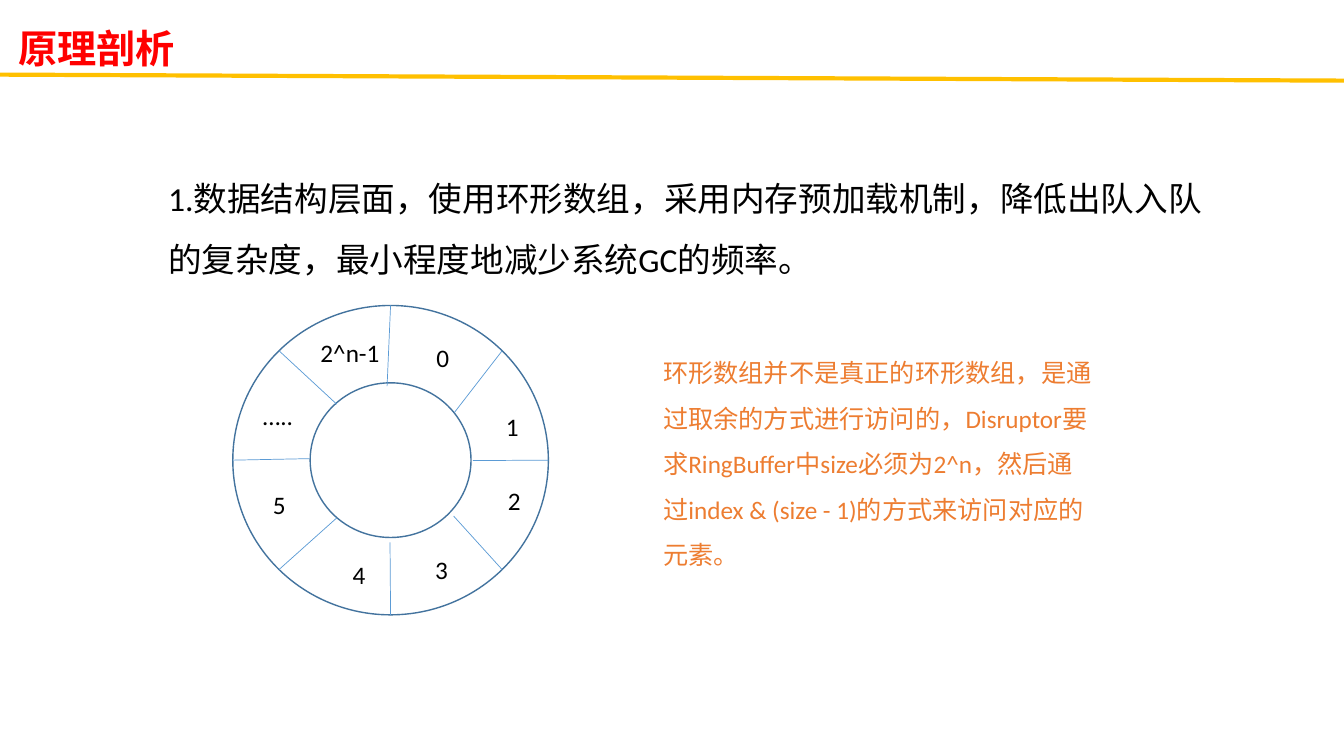
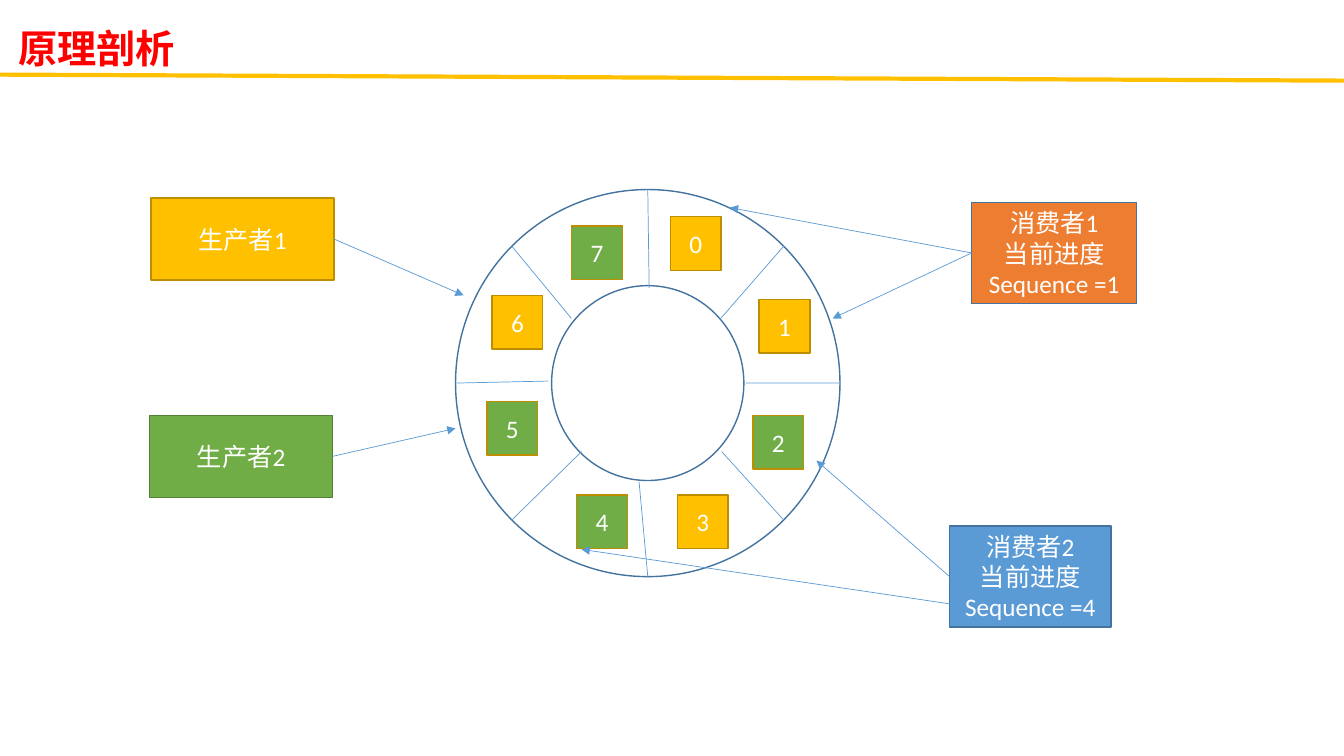
from math import cos, radians, sin

from lxml import etree
from pptx import Presentation
from pptx.dml.color import RGBColor
from pptx.enum.shapes import MSO_CONNECTOR, MSO_SHAPE
from pptx.enum.text import MSO_ANCHOR, MSO_AUTO_SIZE, PP_ALIGN
from pptx.oxml.ns import qn
from pptx.util import Pt

STRAIGHT = MSO_CONNECTOR.STRAIGHT
DONUT, RECT = MSO_SHAPE.DONUT, MSO_SHAPE.RECTANGLE
LEFT, CENTER = PP_ALIGN.LEFT, PP_ALIGN.CENTER
MIDDLE = MSO_ANCHOR.MIDDLE
FIT_SHAPE, NO_FIT = MSO_AUTO_SIZE.SHAPE_TO_FIT_TEXT, MSO_AUTO_SIZE.NONE

BLACK, WHITE, RED = "000000", "FFFFFF", "FF0000"
YELLOW, GREEN, ORANGE, BLUE = "FFC000", "70AD47", "ED7D31", "5B9BD5"
DARK_YELLOW, DARK_GREEN, DARK_BLUE = "BD8E00", "538035", "43739E"
rgb = RGBColor.from_string


def add_line(s, start, end, color=BLUE, width=0.5, arrow=False):
    line = s.shapes.add_connector(STRAIGHT, *map(Pt, start + end))
    line.line.color.rgb = rgb(color)
    line.line.width = Pt(width)
    sp_pr = line.element.spPr
    if arrow:
        etree.SubElement(sp_pr.find(qn("a:ln")), qn("a:tailEnd"), type="triangle")
    etree.SubElement(sp_pr, qn("a:effectLst"))
    return line


def write(tf, text, size, color, align=LEFT, font="Calibri", bold=False, spacing=None):
    """Fill a text frame, one paragraph for each line of text."""
    for i, words in enumerate(text.split("\n")):
        p = tf.add_paragraph() if i else tf.paragraphs[0]
        p.alignment = align
        p.line_spacing = spacing
        r = p.add_run()
        r.text = words
        r.font.name = font
        r.font.size = Pt(size)
        r.font.bold = bold
        r.font.color.rgb = rgb(color)


prs = Presentation()
prs.slide_width, prs.slide_height = Pt(960), Pt(540)
layout = prs.slide_layouts[5]
title = layout.placeholders[0]
title.left, title.top, title.width, title.height = map(Pt, (6, 13.5, 128, 41))

# Ring box, then the inner end of each spoke, clockwise from the right
rings = [
    ((166.3, 218.2, 225.4, 221),
     [(337.7, 329), (324, 368.6), (278.6, 387.4), (240.5, 370),
      (221, 327.6), (240.5, 288.7), (276.5, 275.8), (324.7, 294.5)]),
    ((325.4, 135.4, 274.6, 276.5),
     [(532.8, 273.6), (515.5, 322.6), (456.5, 344.2), (415.4, 322.6),
      (391.7, 272.2), (408.2, 227.5), (463.7, 205.9), (514.8, 227.5)]),
]
for (left, top, width, height), inner_ends in rings:
    s = prs.slides.add_slide(layout)
    tf = s.shapes.title.text_frame
    tf.word_wrap = False
    tf.auto_size = NO_FIT
    write(tf, "原理剖析", 28, RED, font="Times New Roman", bold=True)

    ring = s.shapes.add_shape(DONUT, Pt(left), Pt(top), Pt(width), Pt(height))
    ring.shadow.inherit = False
    ring.fill.background()
    ring.line.color.rgb = rgb(DARK_BLUE)
    ring.line.width = Pt(1)
    for i, inner in enumerate(inner_ends):
        angle = radians(45 * i)
        outer = (left + width / 2 * (1 + cos(angle)),
                 top + height / 2 * (1 + sin(angle)))
        add_line(s, outer, inner)

data_slide, flow_slide = prs.slides

# The rule under the title belongs to the layout
rule = add_line(data_slide, (0, 53.3), (960, 57.6), YELLOW, 3)
layout.shapes.element.append(rule.element)

# Slide 1: ring array
texts = [
    ("1.数据结构层面，使用环形数组，采用内存预加载机制，降低出队入队\n"
     "的复杂度，最小程度地减少系统GC的频率。",
     (113, 109.4, 759.6, 94.3), 24, BLACK, 1.5, False),
    ("环形数组并不是真正的环形数组，是通过取余的方式进行访问的，"
     "Disruptor要求RingBuffer中size必须为2^n，"
     "然后通过index & (size - 1)的方式来访问对应的元素。",
     (466.6, 241.2, 324, 170.6), 18, ORANGE, 1.5, True),
]
slots = [
    ("0", 304.6, 241.2, 24), ("1", 354.2, 290.2, 24),
    ("2", 355.7, 343.4, 24), ("3", 303.8, 392.4, 24),
    ("4", 244.8, 396, 24), ("5", 187.9, 346.3, 24),
    ("…..", 180.7, 282.2, 46), ("2^n-1", 221.8, 237.6, 57),
]
texts += [(text, (x, y, w, 29), 18, BLACK, None, False) for text, x, y, w in slots]
for text, box, size, color, spacing, wrap in texts:
    tf = data_slide.shapes.add_textbox(*map(Pt, box)).text_frame
    tf.word_wrap = wrap
    tf.auto_size = FIT_SHAPE
    write(tf, text, size, color, spacing=spacing)

# Slide 2: producers, consumers and the slots they use
boxes = [
    ("生产者1", (108, 141.5, 130.5, 58.5), YELLOW, DARK_YELLOW),
    ("生产者2", (107, 296.7, 130.5, 58.5), GREEN, DARK_GREEN),
    ("消费者1\n当前进度\nSequence =1", (694, 144.7, 118, 72), ORANGE, DARK_BLUE),
    ("消费者2\n当前进度\nSequence =4", (678.2, 375.8, 115.5, 72), BLUE, DARK_BLUE),
]
cells = [
    (478.8, 154.8, YELLOW), (542.2, 213.8, YELLOW),
    (537.8, 296.6, GREEN), (483.8, 353.5, YELLOW),
    (411.8, 353.5, GREEN), (347.8, 286.6, GREEN),
    (351.4, 211, YELLOW), (408.2, 161.3, GREEN),
]
boxes += [(str(i), (x, y, 36.3, 38.4), fill, DARK_YELLOW)
          for i, (x, y, fill) in enumerate(cells)]
for text, box, fill, border in boxes:
    sp = flow_slide.shapes.add_shape(RECT, *map(Pt, box))
    sp.shadow.inherit = False
    sp.fill.solid()
    sp.fill.fore_color.rgb = rgb(fill)
    sp.line.color.rgb = rgb(border)
    sp.line.width = Pt(1)
    sp.text_frame.vertical_anchor = MIDDLE
    write(sp.text_frame, text, 18, WHITE, CENTER)

arrows = [
    ((238.5, 170.7), (331.2, 211)),
    ((237.5, 326), (325.4, 306)),
    ((694, 180.7), (521.3, 148.3)),
    ((694, 180.7), (594.7, 227.5)),
    ((678.2, 431.3), (415.4, 392.4)),
    ((678.2, 411.8), (583.2, 329)),
]
for start, end in arrows:
    add_line(flow_slide, start, end, arrow=True)

prs.save("out.pptx")
